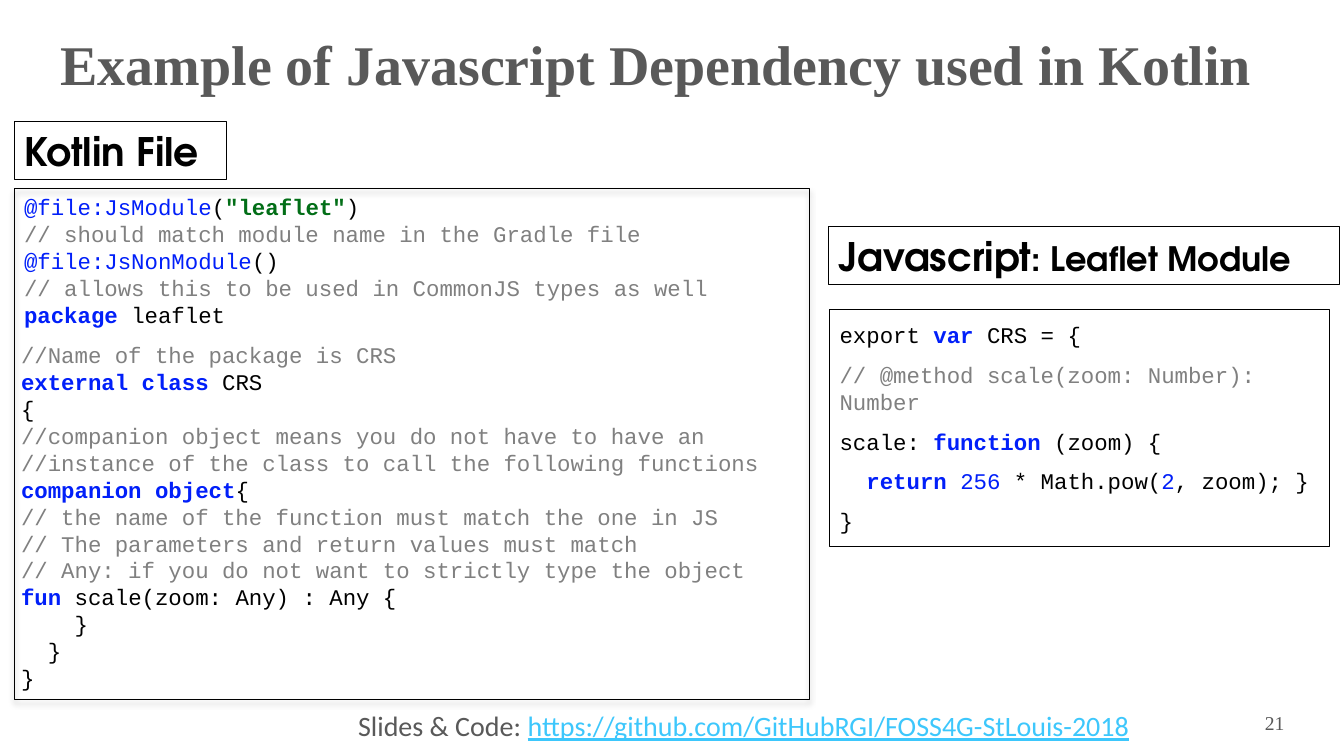
import lxml.etree
import pptx
import pptx.dml.color
import pptx.enum.shapes
import pptx.enum.text
import pptx.oxml
import pptx.oxml.ns
import pptx.util

RGBColor = pptx.dml.color.RGBColor
Pt = pptx.util.Pt
Align = pptx.enum.text.PP_ALIGN
Anchor = pptx.enum.text.MSO_ANCHOR

BLACK = RGBColor(0x00, 0x00, 0x00)
WHITE = RGBColor(0xFF, 0xFF, 0xFF)
SLATE = RGBColor(0x59, 0x59, 0x59)
GRAY = RGBColor(0x80, 0x80, 0x80)
BLUE = RGBColor(0x01, 0x1F, 0xF9)
GREEN = RGBColor(0x02, 0x6E, 0x17)
SKY = RGBColor(0x3D, 0xC7, 0xFC)

SERIF = "Times New Roman"
SANS = "Calibri"
HEADING = "TeX Gyre Adventor"
MONO = "Courier New"

PLAIN = (BLACK, False)
COMMENT = (GRAY, False)
KEYWORD = (BLUE, True)
LITERAL = (BLUE, False)
STRING = (GREEN, True)

MODULE_CODE = [
    [("@file:JsModule", LITERAL), ("(", PLAIN), ('"leaflet"', STRING), (")", PLAIN)],
    [("// should match module name in the Gradle file", COMMENT)],
    [("@file:JsNonModule", LITERAL), ("()", PLAIN)],
    [("// allows this to be used in CommonJS types as well", COMMENT)],
    [("package", KEYWORD), (" leaflet", PLAIN)],
]
CLASS_CODE = [
    [("//Name of the package is CRS", COMMENT)],
    [("external class", KEYWORD), (" CRS", PLAIN)],
    [("{", PLAIN)],
    [("//companion object means you do not have to have an", COMMENT)],
    [("//instance of the class to call the following functions", COMMENT)],
    [("companion object", KEYWORD), ("{", PLAIN)],
    [("// the name of the function must match the one in JS", COMMENT)],
    [("// The parameters and return values must match", COMMENT)],
    [("// Any: if you do not want to strictly type the object", COMMENT)],
    [("fun", KEYWORD), (" scale(zoom: Any) : Any {", PLAIN)],
    [("    }", PLAIN)],
    [("  }", PLAIN)],
    [("}", PLAIN)],
]
SCRIPT_CODE = [
    [("export ", PLAIN), ("var", KEYWORD), (" CRS = {", PLAIN)],
    [("// @method scale(zoom: Number): Number", COMMENT)],
    [("scale: ", PLAIN), ("function", KEYWORD), (" (zoom) {", PLAIN)],
    [("  ", PLAIN), ("return ", KEYWORD), ("256", LITERAL),
     (" * Math.pow(", PLAIN), ("2", LITERAL), (", zoom); }", PLAIN)],
    [("}", PLAIN)],
]


class Deck:
    """Style and current slide; places are percentages of the slide's size."""

    def __init__(self):
        self.prs = pptx.Presentation()
        self.prs.slide_width = pptx.util.Inches(13.33)
        self.prs.slide_height = pptx.util.Inches(7.5)
        self.s = self.prs.slides.add_slide(self.prs.slide_layouts[5])

    def place(self, x, y, w, h):
        width, height = self.prs.slide_width, self.prs.slide_height
        return [int(size * share / 100) for size, share in
                ((width, x), (height, y), (width, w), (height, h))]

    def font(self, r, name, size, color, bold=False):
        r.font.name = name
        r.font.size = Pt(size)
        r.font.color.rgb = color
        r.font.bold = bold

    def title(self, text, *at):
        sp = self.s.shapes.title
        sp.left, sp.top, sp.width, sp.height = self.place(*at)
        tf = sp.text_frame
        tf.text = text
        tf.auto_size = pptx.enum.text.MSO_AUTO_SIZE.NONE
        tf.vertical_anchor = Anchor.TOP
        tf.margin_top = pptx.util.Inches(0.12)
        tf.paragraphs[0].alignment = Align.LEFT
        self.font(tf.paragraphs[0].runs[0], SERIF, 40, SLATE, True)

    def box(self, *at, fill=None, line=None):
        sp = self.s.shapes.add_shape(
            pptx.enum.shapes.MSO_SHAPE.RECTANGLE, *self.place(*at))
        sp.shadow.inherit = False
        if fill is None:
            sp.fill.background()
        else:
            sp.fill.solid()
            sp.fill.fore_color.rgb = fill
        if line is None:
            sp.line.fill.background()
        else:
            sp.line.color.rgb = line
            sp.line.width = Pt(0.75)
        return sp

    def fill_text(self, sp, lines, name, size, anchor=Anchor.MIDDLE):
        tf = sp.text_frame
        tf.word_wrap = True
        tf.vertical_anchor = anchor
        for i, line in enumerate(lines):
            p = tf.add_paragraph() if i else tf.paragraphs[0]
            p.alignment = Align.LEFT
            for text, (color, bold) in line:
                r = p.add_run()
                r.text = text
                self.font(r, name, size, color, bold)
        return tf

    def code(self, sp, lines, anchor=Anchor.TOP, before=0, after=0):
        tf = self.fill_text(sp, lines, MONO, 16, anchor)
        for i, p in enumerate(tf.paragraphs):
            p.line_spacing = Pt(19.2)
            p.space_before = Pt(before if i else 0)
            p.space_after = Pt(after)

    def heading(self, text, *at, detail=""):
        sp = self.box(*at, line=BLACK)
        parts = [(part, (BLACK, True)) for part in (text, detail) if part]
        tf = self.fill_text(sp, [parts], HEADING, 28)
        for r in tf.paragraphs[0].runs[1:]:
            r.font.size = Pt(24)

    def footer(self, label, address, *at):
        sp = self.box(*at, fill=WHITE)
        parts = [(label, (SLATE, False)), (address, (SKY, False))]
        p = self.fill_text(sp, [parts], SANS, 20).paragraphs[0]
        p.runs[1].font.underline = True
        p._p.get_or_add_pPr().set("marL", str(pptx.util.Inches(0.12)))

    def number(self, text, *at):
        sp = self.s.shapes.add_textbox(*self.place(*at))
        tf = self.fill_text(sp, [[(text, (SLATE, False))]], SERIF, 14)
        tf.paragraphs[0].alignment = Align.RIGHT

    def frame(self, *at):
        sp = self.box(*at, line=BLACK)
        effects = sp._element.spPr.find(pptx.oxml.ns.qn("a:effectLst"))
        shadow = lxml.etree.SubElement(
            effects, pptx.oxml.ns.qn("a:outerShdw"), blurRad=str(Pt(4)),
            dist=str(Pt(3)), dir="5400000", rotWithShape="0")
        color = lxml.etree.SubElement(
            shadow, pptx.oxml.ns.qn("a:srgbClr"), val=str(BLACK))
        lxml.etree.SubElement(color, pptx.oxml.ns.qn("a:alpha"), val="35000")


def main():
    deck = Deck()
    deck.number("21", 91.28, 93.33, 5.03, 4.53)
    deck.title("Example of Javascript Dependency used in Kotlin",
               3.75, 2.27, 92.5, 8.93)
    deck.code(deck.box(61.73, 40.93, 37.2, 31.33, fill=WHITE, line=BLACK),
              SCRIPT_CODE, Anchor.MIDDLE, before=3.2, after=6)
    deck.heading("Javascript", 61.65, 30, 38.03, 7.6, detail=": Leaflet Module")
    deck.code(deck.box(0.83, 44.53, 59.4, 48, fill=WHITE), CLASS_CODE)
    deck.heading("Kotlin File", 1.05, 16.13, 15.83, 7.6)
    deck.footer("Slides & Code: ", "https://github.com/GitHubRGI/FOSS4G-StLouis-2018",
                25, 93.07, 60, 5.87)
    deck.code(deck.s.shapes.add_textbox(*deck.place(1.05, 24.93, 58.35, 19.33)),
              MODULE_CODE)
    deck.frame(1.05, 24.93, 59.18, 67.6)
    deck.prs.save("out.pptx")


if __name__ == "__main__":
    main()
